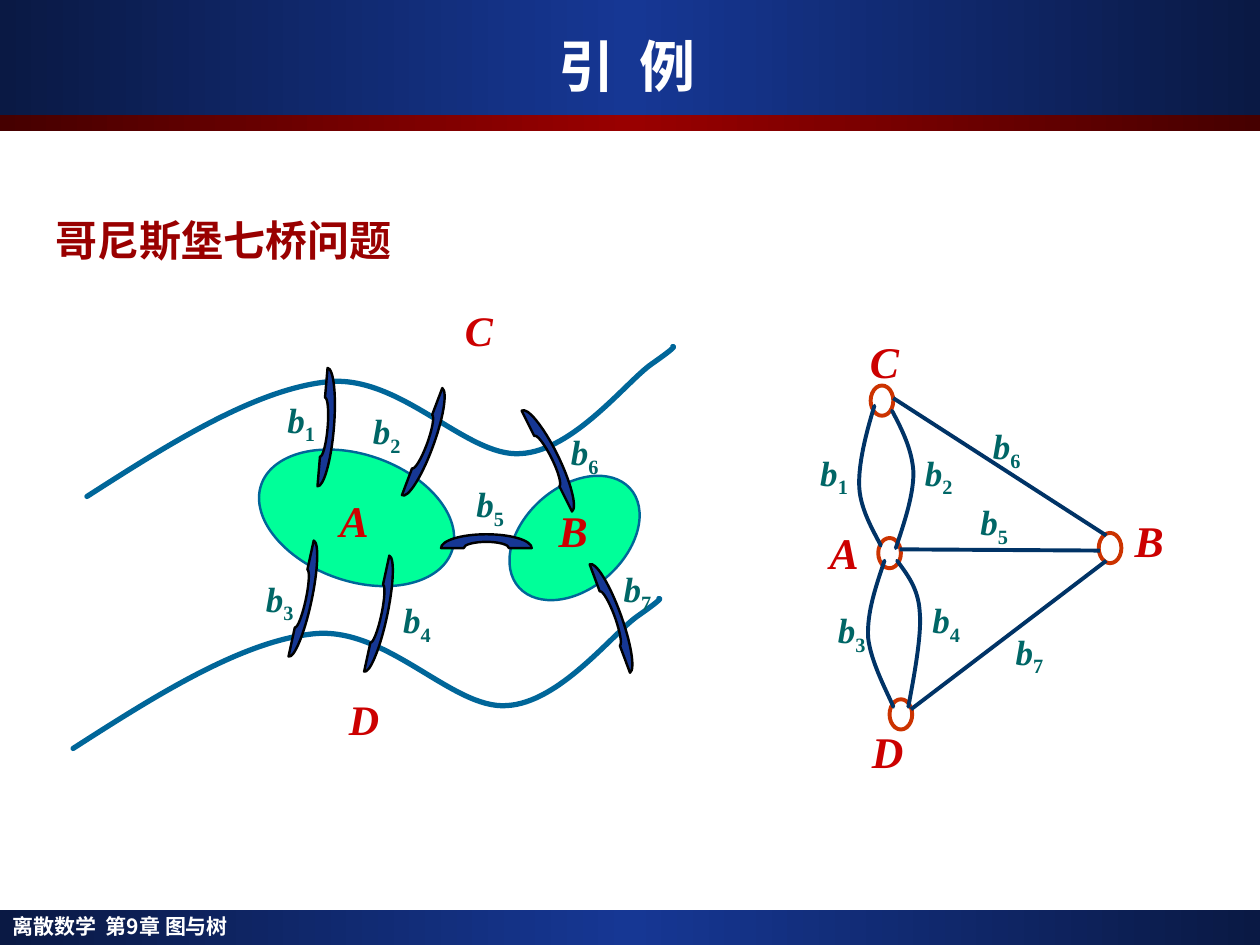
from copy import deepcopy
from dataclasses import dataclass
from typing import Optional

from lxml.etree import SubElement
from pptx import Presentation
from pptx.dml.color import RGBColor
from pptx.enum.shapes import MSO_CONNECTOR as Connector, MSO_SHAPE as Shape
from pptx.enum.text import MSO_ANCHOR as Anchor, PP_ALIGN as Align
from pptx.oxml.ns import qn
from pptx.util import Inches, Pt

Point = complex  # x + y·j, in inches
ARC_RATIO = 0.55  # control-point ratio of a quarter ellipse


@dataclass(frozen=True)
class Theme:
    navy: str = "163794"
    dark_navy: str = "0A1944"
    red: str = "990000"
    dark_red: str = "460000"
    white: str = "FFFFFF"
    water: str = "006699"
    land: str = "00FF99"
    outline: str = "000000"
    node: str = "CC3300"
    edge: str = "003366"
    place: str = "CC0000"
    bridge_name: str = "006666"
    latin: str = "Times New Roman"
    heading_font: str = "DejaVu Sans"
    chinese: str = "Noto Sans CJK JP"
    title_size: int = 32
    heading_size: int = 24
    footer_size: int = 12
    place_size: int = 25
    bank_size: int = 24
    bridge_size: int = 20
    river_width: float = 3
    thin: float = 1.39
    edge_width: float = 2.25


THEME = Theme()


@dataclass(frozen=True)
class Label:
    text: str
    center: float
    top: float
    size: int = THEME.place_size


@dataclass(frozen=True)
class Bridge:
    start: Point
    end: Point
    crown: Point


@dataclass(frozen=True)
class Island:
    center: Point
    axis_a: Point
    axis_b: Point


BANK = [Point(0.69, 3.94), Point(1.36, 3.51), Point(2.03, 3.09), Point(2.6, 3.03),
        Point(3.18, 2.97), Point(3.7, 3.63), Point(4.13, 3.6),
        Point(4.55, 3.58), Point(4.97, 3.03), Point(5.17, 2.89),
        Point(5.37, 2.75), Point(5.35, 2.75), Point(5.34, 2.75)]
BANK_OFFSETS = [Point(0, 0), Point(-0.11, 2)]
ISLANDS = [Island(Point(2.83, 4.11), Point(0.08, -0.5), Point(0.77, 0.21)),
           Island(Point(4.56, 4.27), Point(-0.13, -0.4), Point(0.5, -0.29))]
BRIDGES = [Bridge(Point(3.5, 4.35), Point(4.22, 4.35), Point(3.86, 4.24)),
           Bridge(Point(4.68, 4.48), Point(5, 5.34), Point(4.92, 4.86)),
           Bridge(Point(4.14, 3.26), Point(4.54, 4.06), Point(4.42, 3.6)),
           Bridge(Point(2.6, 2.92), Point(2.52, 3.86), Point(2.65, 3.4)),
           Bridge(Point(3.51, 3.08), Point(3.19, 3.93), Point(3.43, 3.56)),
           Bridge(Point(2.49, 4.29), Point(2.29, 5.21), Point(2.47, 4.78)),
           Bridge(Point(3.09, 4.41), Point(2.89, 5.33), Point(3.07, 4.9))]
MAP_LABELS = [Label("C", 3.8, 2.42, THEME.bank_size), Label("b1", 2.39, 3.16),
              Label("b2", 3.07, 3.25), Label("b6", 4.64, 3.42), Label("A", 2.81, 3.92),
              Label("b5", 3.89, 3.83), Label("B", 4.55, 4), Label("b3", 2.22, 4.58),
              Label("b4", 3.31, 4.75), Label("b7", 5.06, 4.5),
              Label("D", 2.89, 5.5, THEME.bank_size)]

NODES = [Point(6.91, 3.06), Point(6.97, 4.27), Point(7.06, 5.55), Point(8.72, 4.23)]
STRAIGHT_EDGES = [(Point(7.14, 4.36), Point(8.73, 4.37)),
                  (Point(7.09, 3.16), Point(8.78, 4.25)),
                  (Point(7.23, 5.63), Point(8.78, 4.45))]
CURVED_EDGES = [
    [Point(6.94, 3.22), Point(6.87, 3.45), Point(6.81, 3.69), Point(6.82, 3.87),
     Point(6.83, 4.06), Point(6.96, 4.26), Point(6.99, 4.33)],
    [Point(7.08, 3.26), Point(7.16, 3.41), Point(7.24, 3.57), Point(7.25, 3.75),
     Point(7.25, 3.93), Point(7.18, 4.14), Point(7.11, 4.35)],
    [Point(7.02, 4.45), Point(6.95, 4.66), Point(6.88, 4.86), Point(6.89, 5.06),
     Point(6.91, 5.26), Point(7.06, 5.53), Point(7.09, 5.61)],
    [Point(7.12, 4.45), Point(7.2, 4.56), Point(7.29, 4.67), Point(7.3, 4.86),
     Point(7.32, 5.06), Point(7.23, 5.49), Point(7.21, 5.61)]]
GRAPH_LABELS = [Label("b1", 6.62, 3.58), Label("b2", 7.45, 3.58), Label("b6", 7.99, 3.37),
                Label("B", 9.12, 4.08), Label("b4", 7.51, 4.75), Label("b7", 8.17, 5),
                Label("D", 7.04, 5.75), Label("A", 6.7, 4.17), Label("b5", 7.89, 3.97),
                Label("C", 7.02, 2.66), Label("b3", 6.76, 4.83)]


def elliptic_arc(center: Point, stops: list[Point]) -> list[Point]:
    """Curve controls of the quarter ellipses from each stop to the next."""
    controls = [stops[0]]
    for begin, end in zip(stops, stops[1:]):
        controls += [begin + ARC_RATIO * (end - center), end + ARC_RATIO * (begin - center), end]
    return controls


def style_line(line, color: str, width: float) -> None:
    line.color.rgb = RGBColor.from_string(color)
    line.width = Pt(width)


def draw_curves(shapes, strands: list[list[Point]], color: str, width: float,
                fill: Optional[str] = None) -> None:
    """Strands of cubic curves (a start, then three controls each), joined by lines."""
    corners = [(Inches(p.real), Inches(p.imag)) for strand in strands for p in strand]
    builder = shapes.build_freeform(*corners[0], scale=1.0)
    builder.add_line_segments(corners[1:], close=fill is not None)
    shape = builder.convert_to_shape()
    outline = next(shape._element.iter(qn("a:path")))
    steps = iter(list(outline))
    for strand in strands:
        next(steps)
        for _ in range(len(strand) // 3):
            curve = [next(steps) for _ in range(3)]
            curve[0].tag = qn("a:cubicBezTo")
            for step in curve[1:]:
                curve[0].append(step[0])
                outline.remove(step)
    shape.shadow.inherit = False
    style_line(shape.line, color, width)
    if fill:
        shape.fill.solid()
        shape.fill.fore_color.rgb = RGBColor.from_string(fill)
    else:
        shape.fill.background()
        shape.line._get_or_add_ln().set("cap", "rnd")


def draw_island(shapes, island: Island) -> None:
    center, a, b = island.center, island.axis_a, island.axis_b
    stops = [center + offset for offset in (a, -b, -a, b, a)]
    draw_curves(shapes, [elliptic_arc(center, stops)], THEME.water, THEME.thin, THEME.land)


def draw_bridge(shapes, bridge: Bridge) -> None:
    center = (bridge.start + bridge.end) / 2
    half, rise = (bridge.end - bridge.start) / 2, bridge.crown - center
    inner = [center - half / 2, center + 0.45 * rise, center + half / 2]
    outer = [bridge.end, bridge.crown, bridge.start]
    strands = [elliptic_arc(center, inner), elliptic_arc(center, outer)]
    draw_curves(shapes, strands, THEME.outline, THEME.thin, THEME.navy)


def draw_node(shapes, corner: Point) -> None:
    shape = shapes.add_shape(Shape.OVAL, Inches(corner.real), Inches(corner.imag),
                             Inches(0.18), Inches(0.24))
    shape.shadow.inherit = False
    shape.fill.background()
    style_line(shape.line, THEME.node, THEME.edge_width)


def draw_edge(shapes, begin: Point, end: Point) -> None:
    edge = shapes.add_connector(Connector.STRAIGHT, Inches(begin.real), Inches(begin.imag),
                                Inches(end.real), Inches(end.imag))
    style_line(edge.line, THEME.edge, THEME.edge_width)
    SubElement(edge._element.spPr, qn("a:effectLst"))


def style_font(font, name: str, size: int, color: str) -> None:
    font.name, font.size, font.bold = name, Pt(size), True
    font.color.rgb = RGBColor.from_string(color)


def draw_label(shapes, label: Label) -> None:
    """A place letter, or a bridge letter with its index lowered."""
    letter, index = label.text[0], label.text[1:]
    size = THEME.bridge_size if index else label.size
    frame = shapes.add_textbox(Inches(label.center - 0.12), Inches(label.top),
                               Inches(0.24), Inches(size / 60 + 0.02)).text_frame
    frame.word_wrap = False
    frame.margin_left = frame.margin_right = frame.margin_top = frame.margin_bottom = 0
    paragraph = frame.paragraphs[0]
    paragraph.alignment = Align.CENTER
    style_font(paragraph.font, THEME.latin, size, THEME.bridge_name if index else THEME.place)
    letter_run = paragraph.add_run()
    letter_run.text, letter_run.font.italic = letter, True
    if index:
        index_run = paragraph.add_run()
        index_run.text = index
        index_run.font._element.set("baseline", "-25000")


def draw_band(shapes, top: float, height: float, edge: str, middle: str) -> None:
    band = shapes.add_shape(Shape.RECTANGLE, 0, Inches(top), Inches(10), Inches(height))
    band.shadow.inherit = False
    band.line.fill.background()
    band.fill.gradient()
    band.fill.gradient_angle = 180
    stop_list = next(band._element.iter(qn("a:gsLst")))
    stop_list.append(deepcopy(stop_list[0]))
    for stop, position, color in zip(band.fill.gradient_stops, (0, 0.5, 1), (edge, middle, edge)):
        stop.position, stop.color.rgb = position, RGBColor.from_string(color)


def draw_text(shapes, text: str, box: tuple[float, float, float, float], font: str, size: int,
              color: str, spacing: float, align=Align.LEFT, anchor=Anchor.TOP) -> None:
    frame = shapes.add_textbox(*map(Inches, box)).text_frame
    frame.word_wrap, frame.vertical_anchor = True, anchor
    paragraph = frame.paragraphs[0]
    paragraph.text, paragraph.alignment, paragraph.line_spacing = text, align, spacing
    style_font(paragraph.font, font, size, color)
    SubElement(paragraph.font._element, qn("a:ea")).set("typeface", THEME.chinese)


def draw_frame(shapes) -> None:
    draw_band(shapes, 7.22, 0.28, THEME.dark_navy, THEME.navy)
    draw_band(shapes, 0, 0.91, THEME.dark_navy, THEME.navy)
    draw_band(shapes, 0.91, 0.13, THEME.dark_red, THEME.red)
    draw_text(shapes, "离散数学  第9章 图与树", (0, 7.22, 4.13, 0.28), THEME.chinese,
              THEME.footer_size, THEME.white, 0.9)
    draw_text(shapes, "引  例", (0.35, 0.21, 9.25, 0.62), THEME.latin,
              THEME.title_size, THEME.white, 1.0, Align.CENTER, Anchor.MIDDLE)
    draw_text(shapes, "哥尼斯堡七桥问题", (0.34, 1.51, 3.25, 0.75), THEME.heading_font,
              THEME.heading_size, THEME.red, 1.35)


def draw_map(shapes) -> None:
    for offset in BANK_OFFSETS:
        bank = [point + offset for point in BANK]
        draw_curves(shapes, [bank], THEME.water, THEME.river_width)
    for island in ISLANDS:
        draw_island(shapes, island)
    for bridge in BRIDGES:
        draw_bridge(shapes, bridge)
    for label in MAP_LABELS:
        draw_label(shapes, label)


def draw_graph(shapes) -> None:
    for node in NODES:
        draw_node(shapes, node)
    for begin, end in STRAIGHT_EDGES:
        draw_edge(shapes, begin, end)
    for controls in CURVED_EDGES:
        draw_curves(shapes, [controls], THEME.edge, THEME.edge_width)
    for label in GRAPH_LABELS:
        draw_label(shapes, label)


presentation = Presentation()
presentation.slide_width, presentation.slide_height = Inches(10), Inches(7.5)
slide = presentation.slides.add_slide(presentation.slide_layouts[6])
draw_frame(slide.shapes)
draw_map(slide.shapes.add_group_shape().shapes)
draw_graph(slide.shapes.add_group_shape().shapes)
presentation.save("out.pptx")
